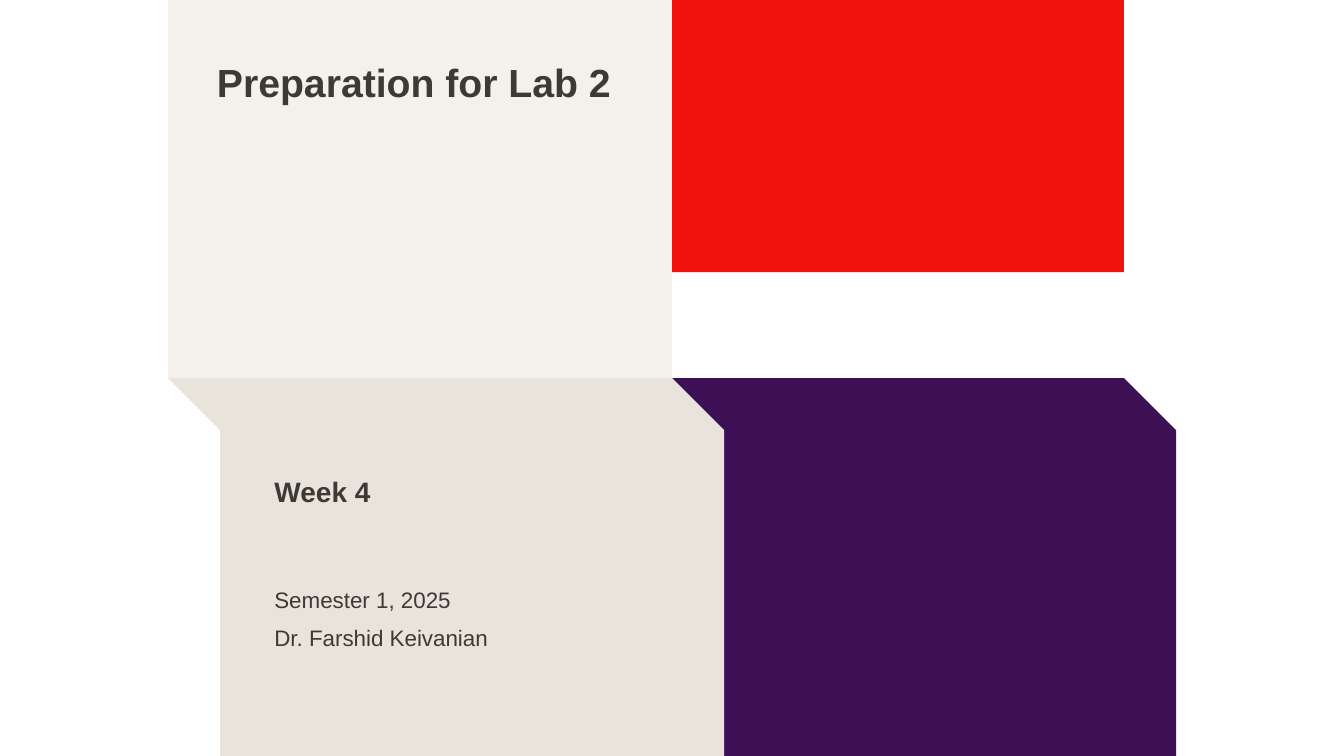
from dataclasses import dataclass

from pptx import Presentation
from pptx.dml.color import RGBColor
from pptx.enum.shapes import MSO_SHAPE
from pptx.enum.text import MSO_ANCHOR, MSO_AUTO_SIZE, PP_ALIGN
from pptx.util import Pt

RECTANGLE = MSO_SHAPE.RECTANGLE
TOP = MSO_ANCHOR.TOP
GROW = MSO_AUTO_SIZE.SHAPE_TO_FIT_TEXT
LEFT = PP_ALIGN.LEFT
TITLE_ONLY = 5


@dataclass(frozen=True)
class Theme:
    font: str = "Arial"
    ink: str = "3D3935"
    red: str = "F2120D"
    purple: str = "3D0F54"
    cream: str = "F4F1ED"
    sand: str = "E8E3DB"
    title_size: float = 28
    week_size: float = 20
    detail_size: float = 16


@dataclass(frozen=True)
class Panel:
    left: float
    right: float
    height: float
    color: str


@dataclass(frozen=True)
class Caption:
    text: str
    left: float
    top: float
    width: float
    height: float
    size: float
    bold: bool = False
    inset_top: float = 0.72
    line_spacing: float = 1.0


THEME = Theme()
WIDTH, HEIGHT = 960, 540
COLUMN_LEFT, COLUMN_MID, COLUMN_RIGHT = 120, 480, 802.8
FOLD_TOP, FOLD = HEIGHT / 2, 37.3
TEXT_LEFT = 195.1

UPPER_PANELS = (
    Panel(COLUMN_MID, COLUMN_RIGHT, 194.4, THEME.red),
    Panel(COLUMN_LEFT, COLUMN_MID, FOLD_TOP, THEME.cream),
)
FOLDED_PANELS = (
    Panel(COLUMN_MID, COLUMN_RIGHT, FOLD_TOP, THEME.purple),
    Panel(COLUMN_LEFT, COLUMN_MID, FOLD_TOP, THEME.sand),
)
TITLE = Caption("Preparation for Lab 2", 154.1, 24, 329, 45.4,
                THEME.title_size, bold=True, line_spacing=1.5)
CAPTIONS = (
    Caption("Week 4", TEXT_LEFT, 338.4, 70.6, 26, THEME.week_size, bold=True),
    Caption("Semester 1, 2025", TEXT_LEFT, 410.8, 130, 27.4,
            THEME.detail_size, inset_top=7.92),
    Caption("Dr. Farshid Keivanian", TEXT_LEFT, 437.6, 160, 27.4,
            THEME.detail_size, inset_top=7.92),
)


def paint(shape, color: str) -> None:
    shape.shadow.inherit = False
    shape.fill.solid()
    shape.fill.fore_color.rgb = RGBColor.from_string(color)
    shape.line.fill.background()


def draw_upper(slide, panel: Panel) -> None:
    block = slide.shapes.add_shape(RECTANGLE, Pt(panel.left), Pt(0),
                                   Pt(panel.right - panel.left), Pt(panel.height))
    paint(block, panel.color)


def draw_folded(slide, panel: Panel) -> None:
    bottom = FOLD_TOP + panel.height
    corners = (
        (panel.left, FOLD_TOP),
        (panel.left + FOLD, FOLD_TOP + FOLD),
        (panel.left + FOLD, bottom),
        (panel.right + FOLD, bottom),
        (panel.right + FOLD, FOLD_TOP + FOLD),
    )
    outline = slide.shapes.build_freeform(Pt(panel.right), Pt(FOLD_TOP))
    outline.add_line_segments([(Pt(x), Pt(y)) for x, y in corners], close=True)
    paint(outline.convert_to_shape(), panel.color)


def write_caption(box, caption: Caption) -> None:
    box.left, box.top = Pt(caption.left), Pt(caption.top)
    box.width, box.height = Pt(caption.width), Pt(caption.height)
    frame = box.text_frame
    frame.text = caption.text
    frame.word_wrap = True
    frame.auto_size = GROW
    frame.vertical_anchor = TOP
    frame.margin_left, frame.margin_top = Pt(0.9), Pt(caption.inset_top)
    frame.margin_right = frame.margin_bottom = Pt(0)
    paragraph = frame.paragraphs[0]
    paragraph.alignment = LEFT
    paragraph.line_spacing = caption.line_spacing
    paragraph.space_before = Pt(0)
    for run in paragraph.runs:
        run.font.name = THEME.font
        run.font.size = Pt(caption.size)
        run.font.bold = caption.bold
        run.font.color.rgb = RGBColor.from_string(THEME.ink)


def main() -> None:
    deck = Presentation()
    deck.slide_width, deck.slide_height = Pt(WIDTH), Pt(HEIGHT)
    slide = deck.slides.add_slide(deck.slide_layouts[TITLE_ONLY])
    for panel in UPPER_PANELS:
        draw_upper(slide, panel)
    for panel in FOLDED_PANELS:
        draw_folded(slide, panel)
    title = slide.shapes.title
    title.element.getparent().append(title.element)
    write_caption(title, TITLE)
    for caption in CAPTIONS:
        write_caption(slide.shapes.add_textbox(0, 0, 0, 0), caption)
    deck.save("out.pptx")


if __name__ == "__main__":
    main()
